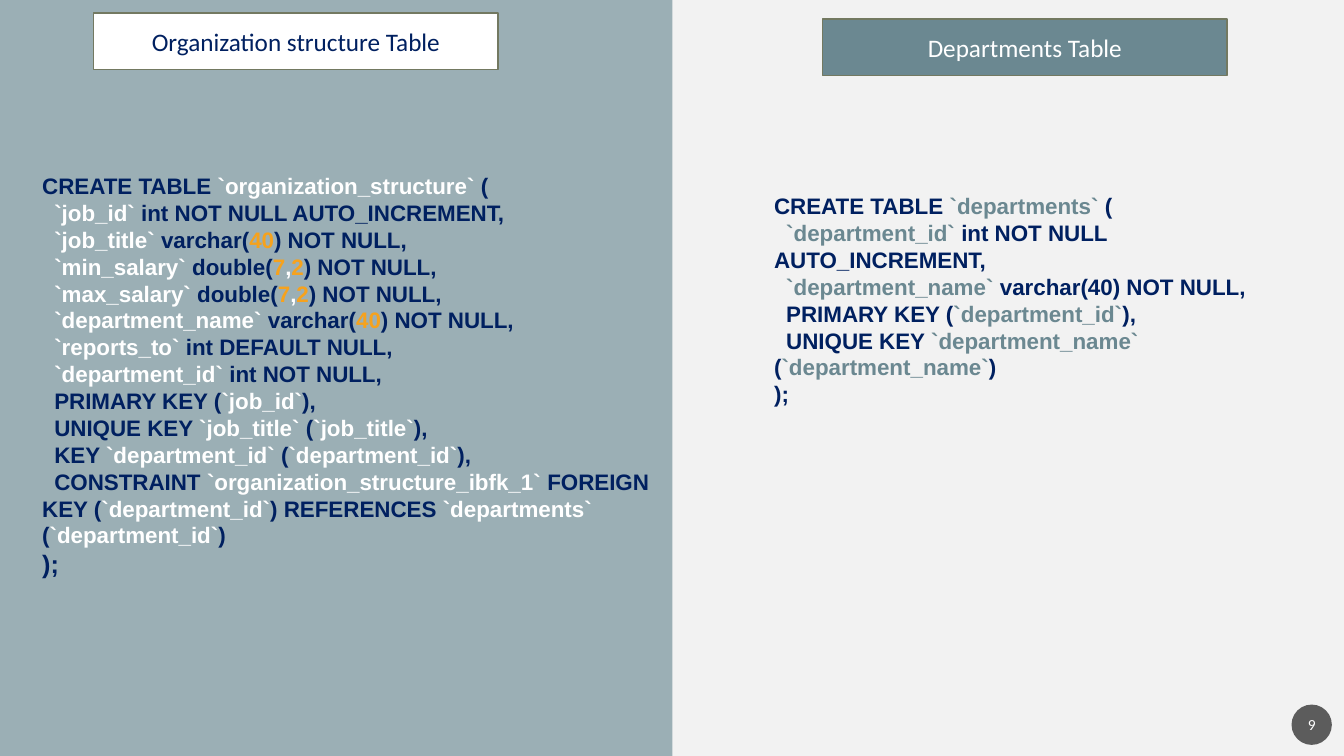
from lxml.etree import SubElement
from pptx import Presentation
from pptx.dml.color import RGBColor
from pptx.enum.shapes import MSO_SHAPE
from pptx.enum.text import MSO_ANCHOR, PP_ALIGN
from pptx.oxml.ns import qn
from pptx.util import Inches, Pt

COLORS = {
    "background": "F2F2F2",
    "panel": "9BAFB5",
    "slate": "6B8891",
    "border": "737961",
    "navy": "002060",
    "white": "FFFFFF",
    "orange": "F6A21D",
    "badge": "1D1D1D",
}

# "|" separates differently coloured parts; two leading spaces mark an indent
ORGANIZATION_SQL = """CREATE TABLE |`organization_structure`| (
  |`job_id`| int NOT NULL AUTO_INCREMENT,
  |`job_title`| varchar(|40|) NOT NULL,
  |`min_salary`| double(|7|,|2|) NOT NULL,
  |`max_salary`| double(|7|,|2|) NOT NULL,
  |`department_name`| varchar(|40|) NOT NULL,
  |`reports_to`| int DEFAULT NULL,
  |`department_id`| int NOT NULL,
  PRIMARY KEY (|`job_id`|),
  UNIQUE KEY |`job_title`| (|`job_title`|),
  KEY |`department_id`| (|`department_id`|),
  CONSTRAINT |`organization_structure_ibfk_1`| FOREIGN KEY (|`department_id`|) REFERENCES |`departments`| (|`department_id`|)
);"""

DEPARTMENTS_SQL = """CREATE TABLE |`departments`| (
  |`department_id`| int NOT NULL AUTO_INCREMENT,
  |`department_name`| varchar(40) NOT NULL,
  PRIMARY KEY (|`department_id`|),
  UNIQUE KEY |`department_name`| (|`department_name`|)
);"""


class SchemaSlide:
    heading_font = "Calibri"
    code_font = "Arial"
    code_indent = Inches(0.12)

    def __init__(self, presentation):
        self.slide = presentation.slides.add_slide(presentation.slide_layouts[6])
        self.paint(self.slide.background.fill, "background")

    def paint(self, fill, color):
        fill.solid()
        fill.fore_color.rgb = RGBColor.from_string(COLORS[color])

    def add_run(self, paragraph, text, size, font, color, bold=False):
        run = paragraph.add_run()
        run.text = text
        run.font.size = Pt(size)
        run.font.name = font
        run.font.bold = bold
        run.font.color.rgb = RGBColor.from_string(COLORS[color])

    def add_block(self, kind, left, top, width, height, fill, line=None):
        shape = self.slide.shapes.add_shape(
            kind, Inches(left), Inches(top), Inches(width), Inches(height))
        shape.shadow.inherit = False
        self.paint(shape.fill, fill)
        if line:
            self.paint(shape.line.fill, line)
            shape.line.width = Pt(1)
        else:
            shape.line.fill.background()
        return shape

    def add_label(self, shape, text, size, color):
        shape.text_frame.vertical_anchor = MSO_ANCHOR.MIDDLE
        paragraph = shape.text_frame.paragraphs[0]
        paragraph.alignment = PP_ALIGN.CENTER
        self.add_run(paragraph, text, size, self.heading_font, color)

    def add_heading(self, left, top, text, fill, color):
        shape = self.add_block(MSO_SHAPE.RECTANGLE, left, top, 4.01, 0.56, fill, "border")
        self.add_label(shape, text, 18, color)

    def add_code(self, left, top, width, height, code, name_color, closing_size=16):
        box = self.slide.shapes.add_textbox(
            Inches(left), Inches(top), Inches(width), Inches(height))
        frame = box.text_frame
        frame.word_wrap = True
        for index, line in enumerate(code.splitlines()):
            paragraph = frame.add_paragraph() if index else frame.paragraphs[0]
            if line.startswith("  "):
                properties = paragraph.font._element.getparent()
                properties.set("indent", str(int(self.code_indent)))
                line = line[2:]
            size = closing_size if line == ");" else 16
            for part in filter(None, line.split("|")):
                if part.isdigit():
                    color = "orange"
                elif part.startswith("`") or part == ",":
                    color = name_color
                else:
                    color = "navy"
                self.add_run(paragraph, part, size, self.code_font, color, bold=True)

    def add_page_number(self, number):
        badge = self.add_block(MSO_SHAPE.OVAL, 12.81, 6.99, 0.4, 0.4, "badge")
        fill_color = badge.fill._xPr.find(qn("a:solidFill"))[0]
        SubElement(fill_color, qn("a:alpha"), val="70000")
        frame = badge.text_frame
        frame.margin_left = frame.margin_right = Inches(0.02)
        self.add_label(badge, number, 11, "white")


def main():
    presentation = Presentation()
    presentation.slide_width = Inches(13.33)
    presentation.slide_height = Inches(7.5)
    schema = SchemaSlide(presentation)

    # Left half: organization structure
    schema.add_block(MSO_SHAPE.RECTANGLE, 0, 0, 6.67, 7.5, "panel")
    schema.add_heading(0.93, 0.13, "Organization structure Table", "white", "navy")
    schema.add_code(0.32, 1.66, 6.22, 4.78, ORGANIZATION_SQL, "white", closing_size=18)

    # Right half: departments
    schema.add_heading(8.16, 0.19, "Departments Table", "slate", "white")
    schema.add_code(7.58, 1.86, 5.43, 2.86, DEPARTMENTS_SQL, "slate")

    # Page number
    schema.add_page_number("9")

    presentation.save("out.pptx")


if __name__ == "__main__":
    main()
